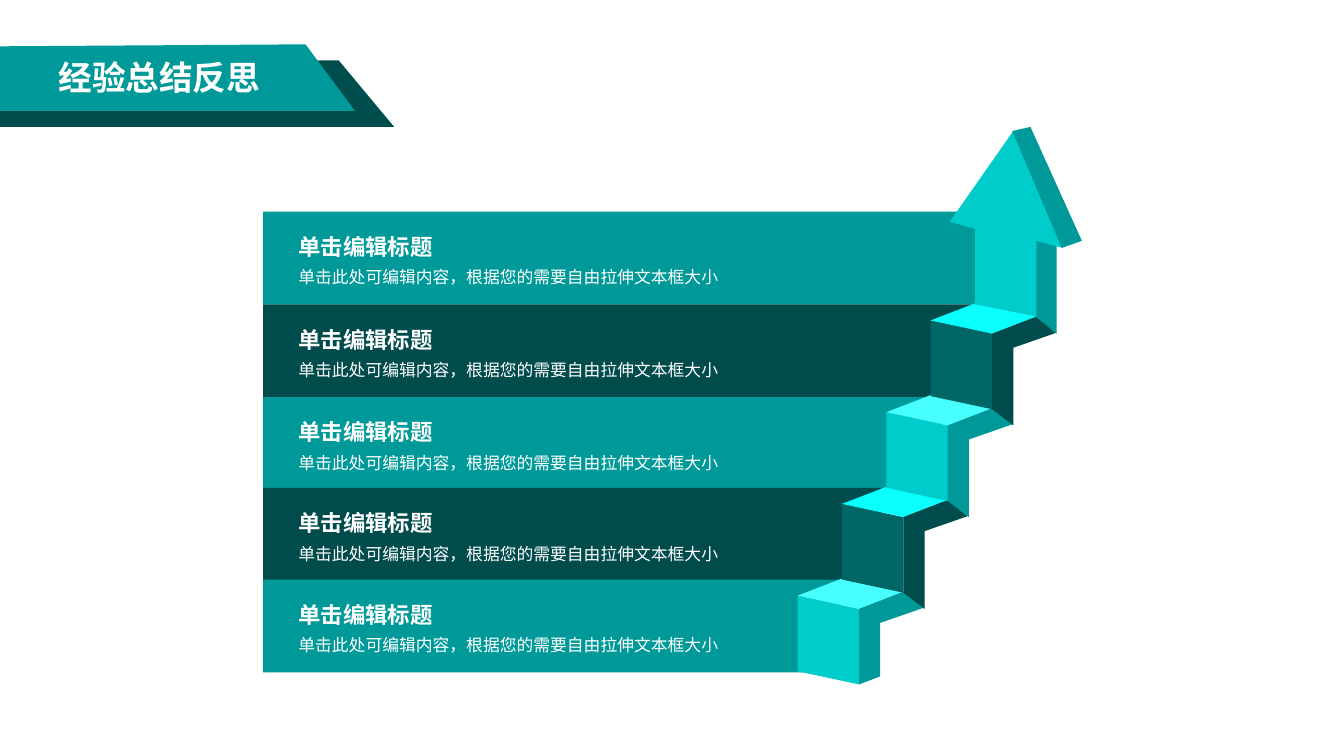
from dataclasses import dataclass

from pptx import Presentation
from pptx import util as u
from pptx.dml.color import RGBColor
from pptx.enum import lang, shapes, text

HUE = {
    "teal": "009999", "deep": "004C4D", "base": "004D4D",
    "aqua": "00CCCC", "pine": "006666",
    "pale": "47FFFF", "cyan": "0AFFFF", "white": "FFFFFF",
}
HEAD = "单击编辑标题"
BODY = "单击此处可编辑内容，根据您的需要自由拉伸文本框大小"
LEFT = 2.61
RUN, RISE = 0.44, 0.91

Spot = tuple[float, float]


@dataclass
class Bar:
    top: float
    width: float
    hue: str


@dataclass
class Face:
    hue: str
    spots: list[Spot]


@dataclass
class Tone:
    front: str
    lid: str
    side: str


BARS = [
    Bar(2.10, 7.77, "teal"),
    Bar(3.02, 7.22, "deep"),
    Bar(3.94, 6.74, "teal"),
    Bar(4.84, 6.14, "deep"),
    Bar(5.75, 5.74, "teal"),
]
TONES = [Tone("aqua", "pale", "teal"), Tone("pine", "cyan", "deep")]
ARROW = [
    Face("teal", [(10.27, 3.14), (10.27, 2.39), (10.48, 2.39), (10.48, 3.31)]),
    Face("aqua", [(10.54, 2.46), (10.05, 1.3), (9.42, 2.2), (9.67, 2.27),
                  (9.67, 3.02), (10.28, 3.14), (10.28, 2.39)]),
    Face("teal", [(10.73, 2.39), (10.53, 2.46), (10.04, 1.3), (10.22, 1.26)]),
]
BANNER = [
    Face("base", [(0, 0.61), (3.36, 0.6), (3.91, 1.26), (0, 1.26)]),
    Face("teal", [(0, 0.46), (3.03, 0.44), (3.52, 1.1), (0, 1.1)]),
]


def paint(shape, hue: str) -> None:
    shape.shadow.inherit = False
    shape.fill.solid()
    shape.fill.fore_color.rgb = RGBColor.from_string(HUE[hue])
    shape.line.fill.background()


def draw_face(slide, face: Face) -> None:
    first, *rest = [(u.Inches(x), u.Inches(y)) for x, y in face.spots]
    pen = slide.shapes.build_freeform(*first)
    pen.add_line_segments(rest, close=True)
    paint(pen.convert_to_shape(), face.hue)


def step_faces(rank: int) -> list[Face]:
    """Give the three faces of a stair step, counted from the bottom."""
    tone = TONES[rank % 2]
    foot = 1.04 if rank else 0.8
    front = [(0, 0.75), (0, 0), (0.61, 0.13), (0.61, 0.88)]
    lid = [(0.44, -0.17), (0, 0), (0.61, 0.13), (1.05, -0.04)]
    side = [(0.61, 0.88), (0.61, 0.13), (1.05, -0.04), (1.25, 0.12),
            (0.82, 0.27), (0.82, foot)]
    x, y = 7.91 + RUN * rank, 5.91 - RISE * rank
    return [
        Face(hue, [(x + dx, y + dy) for dx, dy in spots])
        for hue, spots in ((tone.front, front), (tone.lid, lid), (tone.side, side))
    ]


def add_run(para, words: str, size: float, font: str, bold: bool) -> None:
    run = para.add_run()
    run.text = words
    run.font.size = u.Pt(size)
    run.font.name = font
    run.font.bold = bold
    run.font.language_id = lang.MSO_LANGUAGE_ID.SIMPLIFIED_CHINESE
    run.font.color.rgb = RGBColor.from_string(HUE["white"])


def add_label(slide, top: float, width: float, height: float,
              words: str, size: float, bold: bool) -> None:
    box = slide.shapes.add_textbox(
        u.Inches(2.96), u.Inches(top), u.Inches(width), u.Inches(height))
    frame = box.text_frame
    frame.word_wrap = True
    frame.auto_size = text.MSO_AUTO_SIZE.SHAPE_TO_FIT_TEXT
    frame.margin_left = frame.margin_right = 0
    frame.margin_top = frame.margin_bottom = 0
    para = frame.paragraphs[0]
    para.line_spacing = 1.2
    add_run(para, words, size, "Arial", bold)


def draw_bar(slide, bar: Bar) -> None:
    rect = slide.shapes.add_shape(
        shapes.MSO_SHAPE.RECTANGLE, u.Inches(LEFT), u.Inches(bar.top),
        u.Inches(bar.width), u.Inches(0.92))
    paint(rect, bar.hue)


def set_title(slide, words: str) -> None:
    """Fill the title placeholder and bring it in front of the banner."""
    title = slide.shapes.title
    title.left, title.top = u.Inches(-0.02), u.Inches(0.51)
    title.width, title.height = u.Inches(3.2), u.Inches(0.5)
    frame = title.text_frame
    frame.auto_size = text.MSO_AUTO_SIZE.NONE
    frame.vertical_anchor = text.MSO_ANCHOR.MIDDLE
    para = frame.paragraphs[0]
    para.alignment = text.PP_ALIGN.CENTER
    add_run(para, words, 24, "Noto Sans CJK SC", True)
    title.element.getparent().append(title.element)


def main() -> None:
    deck = Presentation()
    deck.slide_width, deck.slide_height = u.Inches(13.33), u.Inches(7.5)
    slide = deck.slides.add_slide(deck.slide_layouts[5])
    for bar in BARS:
        draw_bar(slide, bar)
    stairs = [face for rank in range(4) for face in step_faces(rank)]
    for face in stairs + ARROW:
        draw_face(slide, face)
    for bar in BARS:
        add_label(slide, bar.top + 0.16, 1.42, 0.3, HEAD, 16, True)
        add_label(slide, bar.top + 0.51, 4.73, 0.24, BODY, 12, False)
    for face in BANNER:
        draw_face(slide, face)
    set_title(slide, "经验总结反思")
    deck.save("out.pptx")


if __name__ == "__main__":
    main()
